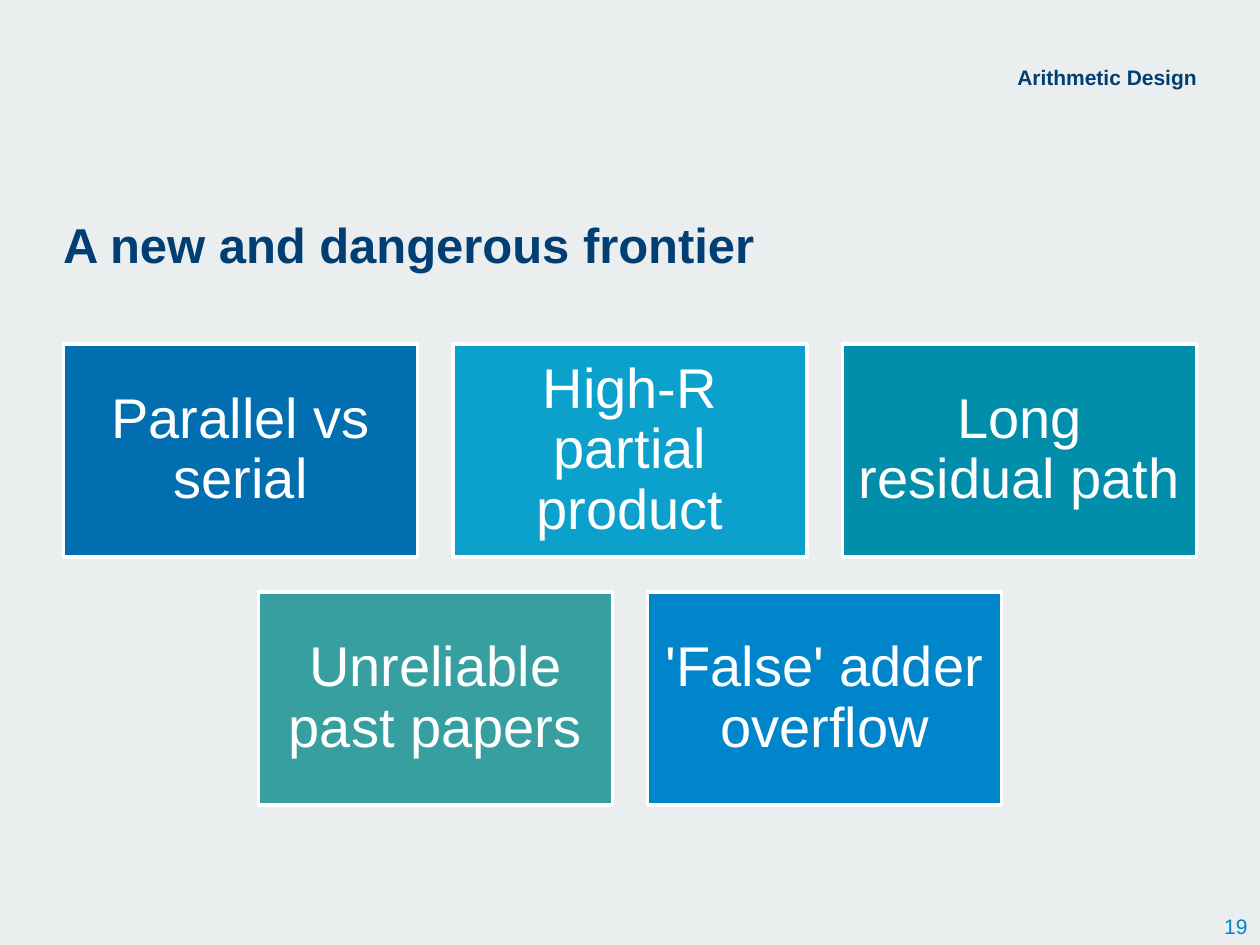
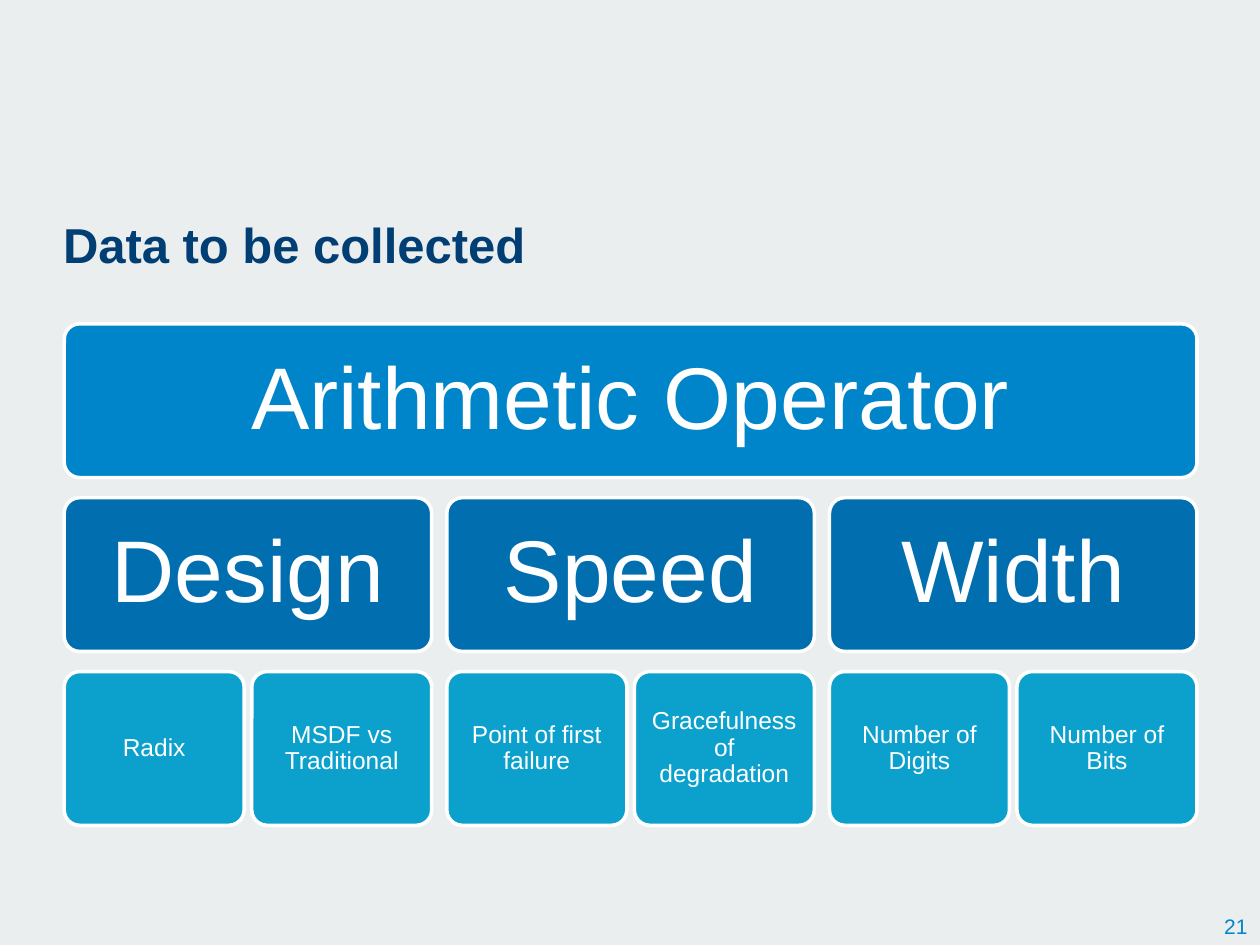
from pptx import Presentation
from pptx.dml.color import RGBColor
from pptx.enum.shapes import MSO_SHAPE
from pptx.enum.text import MSO_ANCHOR, PP_ALIGN
from pptx.util import Inches, Pt

RECT, ROUNDED = MSO_SHAPE.RECTANGLE, MSO_SHAPE.ROUNDED_RECTANGLE
LEFT, CENTER, RIGHT = PP_ALIGN.LEFT, PP_ALIGN.CENTER, PP_ALIGN.RIGHT
TOP, MIDDLE = MSO_ANCHOR.TOP, MSO_ANCHOR.MIDDLE

# Content
RISKS_TITLE, RISKS_PAGE = "A new and dangerous frontier", "19"
RISKS_SECTION = "Arithmetic Design"
RISK_ROWS = [
    [("Parallel vs serial", "006EAF"),
     ("High-R partial product", "0CA1CD"),
     ("Long residual path", "008EAA")],
    [("Unreliable past papers", "379F9F"),
     ("'False' adder overflow", "0085CA")],
]

DATA_TITLE, DATA_PAGE = "Data to be collected", "21"
DATA_ROOT = "Arithmetic Operator"
DATA_BRANCHES = {
    "Design": ["Radix", "MSDF vs Traditional"],
    "Speed": ["Point of first failure", "Gracefulness of degradation"],
    "Width": ["Number of Digits", "Number of Bits"],
}

# Shared look, lengths in inches
WIDTH, HEIGHT = 10, 7.5
MARGIN = 0.5
FONT = "Arial"
PAPER, NAVY, WHITE = "EBEEEE", "003E74", "FFFFFF"
BLUE, DEEP_BLUE, CYAN = "0085CA", "006EAF", "0CA1CD"
TITLE_BOX = (MARGIN, 1.63, WIDTH - 2 * MARGIN, 0.56)
SECTION_BOX = (6.93, 0.51, 2.57, 0.34)
PAGE_BOX = (WIDTH - 1, HEIGHT - 0.3, 1, 0.3)

# Text formats
TITLE = dict(size=28, bold=True, color=NAVY, align=LEFT, anchor=MIDDLE,
             insets=(0, 0.05, 0, 0))
SECTION = dict(size=12, bold=True, color=NAVY, align=RIGHT, anchor=TOP,
               insets=(0, 0, 0, 0))
PAGE = dict(size=12, bold=False, color=BLUE, align=RIGHT, anchor=TOP,
            insets=(0.1, 0.05, 0.1, 0.05))
CARD = dict(size=32, bold=False, color=WHITE, align=CENTER, anchor=MIDDLE,
            insets=(0.13,) * 4, spacing=0.9)
TIER = {**CARD, "size": 50, "insets": (0.21,) * 4}
LEAF = {**CARD, "size": 14, "insets": (0.06,) * 4}


def rgb(value):
    return RGBColor.from_string(value)


def inches(box):
    return [Inches(length) for length in box]


def write(holder, text, style):
    frame = holder.text_frame
    frame.text = text
    left, top, right, bottom = inches(style["insets"])
    frame_values = dict(word_wrap=True, vertical_anchor=style["anchor"],
                        margin_left=left, margin_top=top,
                        margin_right=right, margin_bottom=bottom)
    paragraph = frame.paragraphs[0]
    paragraph_values = dict(alignment=style["align"],
                            line_spacing=style.get("spacing", 1.0))
    font = paragraph.runs[0].font
    font_values = dict(name=FONT, size=Pt(style["size"]), bold=style["bold"])
    for target, values in ((frame, frame_values), (paragraph, paragraph_values),
                           (font, font_values)):
        for name, value in values.items():
            setattr(target, name, value)
    font.color.rgb = rgb(style["color"])


def add_label(slide, box, text, style):
    write(slide.shapes.add_textbox(*inches(box)), text, style)


def add_block(slide, outline, box, fill, text, style):
    block = slide.shapes.add_shape(outline, *inches(box))
    block.shadow.inherit = False
    block.fill.solid()
    block.fill.fore_color.rgb = rgb(fill)
    block.line.color.rgb = rgb(WHITE)
    block.line.width = Pt(2)
    if outline == ROUNDED:
        block.adjustments[0] = 0.1
    write(block, text, style)


def add_titled_slide(deck, title, page):
    slide = deck.slides.add_slide(deck.slide_layouts[5])
    heading = slide.shapes.title
    heading.left, heading.top, heading.width, heading.height = inches(TITLE_BOX)
    write(heading, title, TITLE)
    add_label(slide, PAGE_BOX, page, PAGE)
    return slide


def build_risks(deck):
    slide = add_titled_slide(deck, RISKS_TITLE, RISKS_PAGE)
    add_label(slide, SECTION_BOX, RISKS_SECTION, SECTION)
    # Every row of cards is centred on the slide
    card_w, card_h, gap, top = 2.81, 1.69, 0.28, 2.73
    for row, risks in enumerate(RISK_ROWS):
        row_w = len(risks) * (card_w + gap) - gap
        for column, (risk, fill) in enumerate(risks):
            box = ((WIDTH - row_w) / 2 + column * (card_w + gap),
                   top + row * (card_h + gap), card_w, card_h)
            add_block(slide, RECT, box, fill, risk, CARD)


def build_data(deck):
    slide = add_titled_slide(deck, DATA_TITLE, DATA_PAGE)
    # Leaves share the width; each branch spans its own leaves
    left, total_w, tier_h = 0.51, 8.99, 1.22
    root_y, branch_y, leaf_y = (2.57 + 1.38 * tier for tier in range(3))
    branch_gap, leaf_gap = 0.12, 0.06
    branch_w = (total_w + branch_gap) / len(DATA_BRANCHES) - branch_gap
    add_block(slide, ROUNDED, (left, root_y, total_w, tier_h), BLUE,
              DATA_ROOT, TIER)
    for column, (branch, leaves) in enumerate(DATA_BRANCHES.items()):
        branch_x = left + column * (branch_w + branch_gap)
        add_block(slide, ROUNDED, (branch_x, branch_y, branch_w, tier_h),
                  DEEP_BLUE, branch, TIER)
        leaf_w = (branch_w + leaf_gap) / len(leaves) - leaf_gap
        for place, leaf in enumerate(leaves):
            leaf_x = branch_x + place * (leaf_w + leaf_gap)
            add_block(slide, ROUNDED, (leaf_x, leaf_y, leaf_w, tier_h),
                      CYAN, leaf, LEAF)


def main():
    deck = Presentation()
    deck.slide_width, deck.slide_height = inches((WIDTH, HEIGHT))
    paper = deck.slide_master.background.fill
    paper.solid()
    paper.fore_color.rgb = rgb(PAPER)
    build_risks(deck)
    build_data(deck)
    deck.save("out.pptx")


if __name__ == "__main__":
    main()
